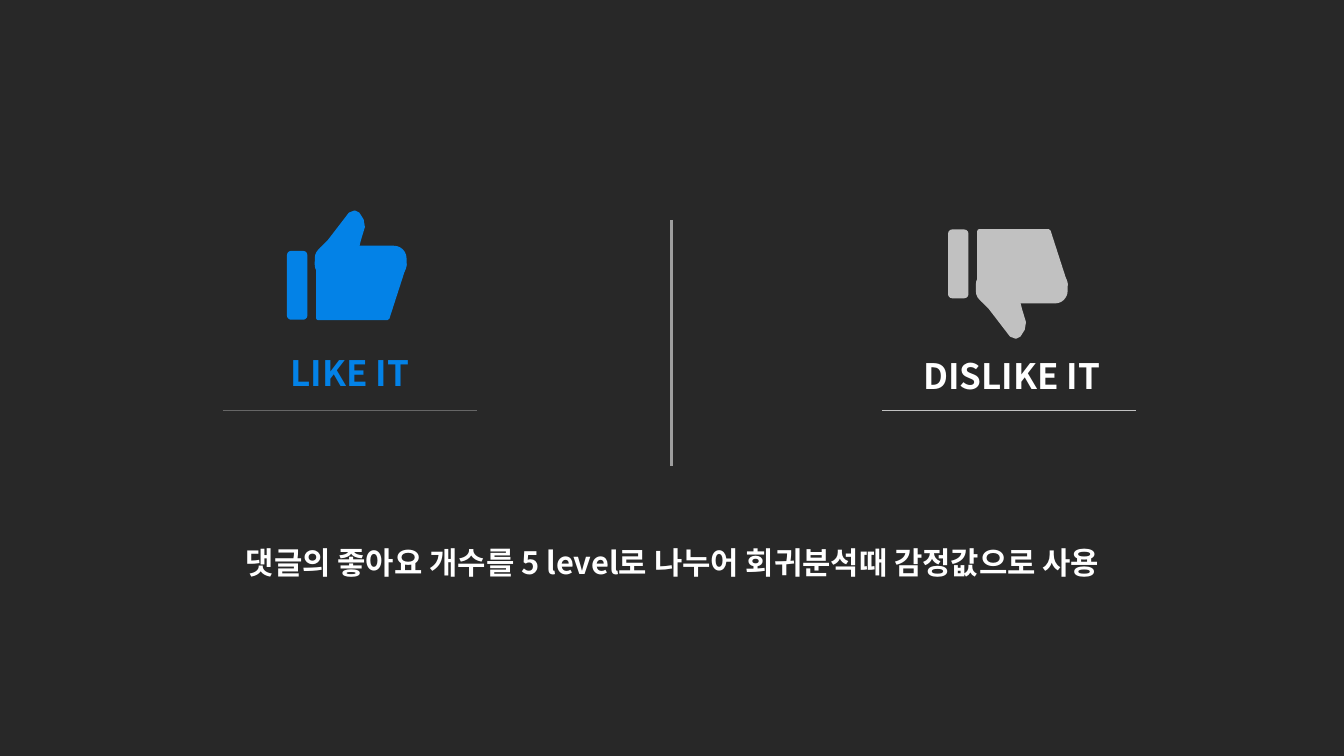
"""Builds a slide that compares likes with dislikes."""
from lxml import etree
from pptx import Presentation
from pptx.dml.color import RGBColor
from pptx.enum.shapes import MSO_CONNECTOR, MSO_SHAPE
from pptx.enum.text import MSO_ANCHOR, PP_ALIGN
from pptx.oxml.ns import qn
from pptx.util import Cm, Pt

LINE = MSO_CONNECTOR.STRAIGHT
ROUND = MSO_SHAPE.ROUNDED_RECTANGLE
SLANT = MSO_SHAPE.FLOWCHART_MANUAL_INPUT
MIDDLE = MSO_ANCHOR.MIDDLE
CENTER = PP_ALIGN.CENTER

FONT = "Noto Sans CJK KR"
DARK, BLUE, SILVER, WHITE = "282828", "0382E7", "C1C1C1", "FFFFFF"
SHIFT, FLIP = 16.66, 13.84
THUMB = [(8.05, 6.38), (8.99, 6.38), (9.07, 6.05), (9.17, 5.72), (9.14, 5.54),
         (9.04, 5.38), (8.94, 5.33), (8.81, 5.38), (8.28, 6.07), (8.08, 6.27)]


def rgb(code):
    return RGBColor.from_string(code)


class Board:
    def __init__(self, deck):
        self.slide = deck.slides.add_slide(deck.slide_layouts[6])
        self.slide.background.fill.solid()
        self.slide.background.fill.fore_color.rgb = rgb(DARK)

    def line(self, x1, y1, x2, y2, color, width):
        line = self.slide.shapes.add_connector(
            LINE, Cm(x1), Cm(y1), Cm(x2), Cm(y2))
        line.line.color.rgb = rgb(color)
        line.line.width = Pt(width)
        etree.SubElement(line._element.spPr, qn("a:effectLst"))

    def text(self, x, y, w, h, words, size, color):
        frame = self.slide.shapes.add_textbox(
            Cm(x), Cm(y), Cm(w), Cm(h)).text_frame
        frame.word_wrap = True
        frame.vertical_anchor = MIDDLE
        para = frame.paragraphs[0]
        para.alignment = CENTER
        run = para.add_run()
        run.text = words
        font = run.font
        font.name, font.size, font.bold = FONT, Pt(size), True
        font.color.rgb = rgb(color)
        east = etree.SubElement(run._r.get_or_add_rPr(), qn("a:ea"))
        east.set("typeface", FONT)

    def paint(self, shape, color, width):
        shape.shadow.inherit = False
        shape.fill.solid()
        shape.fill.fore_color.rgb = rgb(color)
        shape.line.color.rgb = rgb(color)
        shape.line.width = Pt(width)

    def block(self, group, kind, mid, w, h, color, width):
        x, y = mid
        shape = group.shapes.add_shape(
            kind, Cm(x - w / 2), Cm(y - h / 2), Cm(w), Cm(h))
        self.paint(shape, color, width)
        return shape

    def hand(self, color, down):
        def place(x, y):
            return (x + SHIFT, FLIP - y) if down else (x, y)

        group = self.slide.shapes.add_group_shape()
        palm = self.block(group, SLANT, place(9.11, 7.34), 1.35, 2.18, color, 3)
        palm.rotation = 90
        if not down:
            palm._element.spPr.xfrm.set("flipH", "1")
        fist = self.block(group, ROUND, place(9.09, 6.59), 2.26, 0.74, color, 1.5)
        fist.adjustments[0] = 0.39
        dots = [tuple(map(Cm, place(x, y))) for x, y in THUMB]
        path = group.shapes.build_freeform(*dots[0])
        path.add_line_segments(dots[1:], close=True)
        self.paint(path.convert_to_shape(), color, 1.5)
        self.block(group, ROUND, place(7.49, 7.19), 0.46, 1.68, color, 1.5)


def main():
    deck = Presentation()
    deck.slide_width, deck.slide_height = Cm(33.87), Cm(19.05)
    board = Board(deck)
    board.line(16.93, 5.54, 16.93, 11.73, "9E9E9E", 2)
    board.line(22.23, 10.34, 28.63, 10.34, SILVER, 1)
    board.hand(BLUE, False)
    board.hand(SILVER, True)
    board.line(5.61, 10.34, 12.01, 10.34, "666666", 1)
    board.text(6.98, 8.74, 3.68, 1.3, "LIKE IT", 25, BLUE)
    board.text(22.23, 8.81, 6.53, 1.3, "DISLIKE IT", 25, WHITE)
    board.text(1.52, 13.56, 30.86, 1.19,
               "댓글의 좋아요 개수를 5 level로 나누어 회귀분석때 감정값으로 사용",
               22, WHITE)
    deck.save("out.pptx")


if __name__ == "__main__":
    main()
